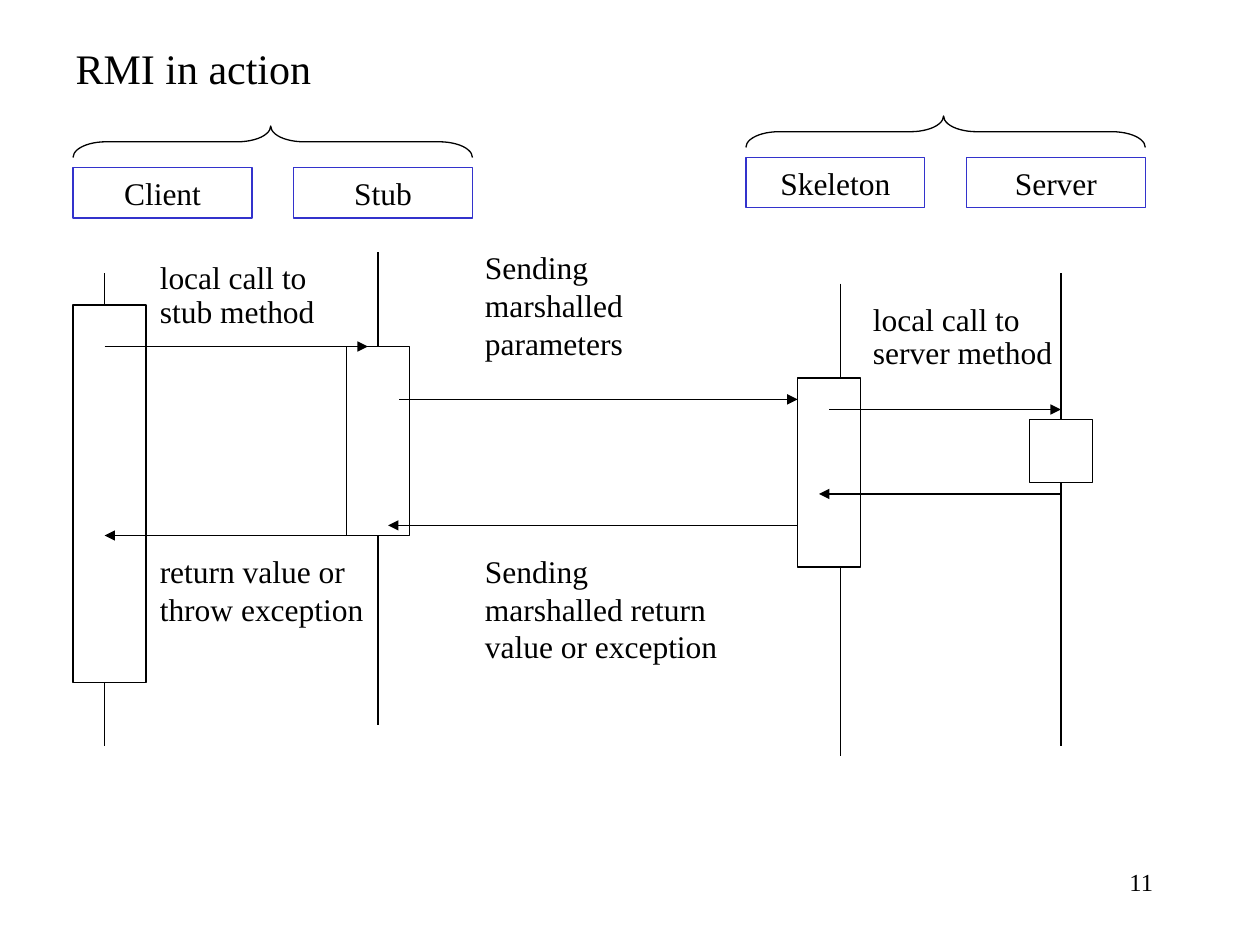
"""Build the "RMI in action" sequence diagram slide."""
from pptx import Presentation, util as u
from pptx.dml.color import RGBColor
from pptx.enum import shapes, text
from pptx.oxml.ns import qn
from lxml import etree

THEME = dict(font="Times New Roman", ink="000000", paper="FFFFFF", accent="3333CC",
             title=24, body=18, number=14, line=0.75)
LEFT, CENTER, RIGHT = text.PP_ALIGN.LEFT, text.PP_ALIGN.CENTER, text.PP_ALIGN.RIGHT

TITLE, NUMBER = "RMI in action", "11"
HOSTS = [(0.58, 1.33, ("Client", "Stub")), (5.92, 1.25, ("Skeleton", "Server"))]
BOX_W, BOX_H, BOX_STEP = 1.42, 0.4, 1.75
BRACE_RISE, BRACE_DEPTH = 0.33, 0.25
LIFELINES = [(0.83, 2.17), (3, 2), (6.67, 2.25), (8.42, 2.17)]
LIFE_LENGTH = 3.75
ACTIVATIONS = [(0.58, 2.42, 0.58, 3), (2.75, 2.75, 0.5, 1.5),
               (6.33, 3, 0.5, 1.5), (8.17, 3.33, 0.5, 0.5)]
MESSAGES = [(0.83, 2.92, 2.75), (3.17, 6.33, 3.17), (6.58, 8.42, 3.25),
            (8.42, 6.5, 3.92), (6.33, 3.08, 4.17), (2.75, 0.83, 4.25)]
LABELS = [
    (1.17, 2, 1.5, 0.67, ["local call to", "stub method"]),
    (6.83, 2.33, 1.83, 0.67, ["local call to", "server method"]),
    (3.75, 1.92, 2.08, 1, ["Sending marshalled parameters"]),
    (1.17, 4.33, 2, 0.7, ["return value or throw exception"]),
    (3.75, 4.33, 2.08, 1, ["Sending marshalled return value or exception"]),
]


def inches(*values):
    return [u.Inches(v) for v in values]


def color(name):
    return RGBColor.from_string(THEME[name])


def write(sp, lines, size="body", align=LEFT, anchor=text.MSO_ANCHOR.TOP):
    tf = sp.text_frame
    tf.word_wrap, tf.vertical_anchor = True, anchor
    tf.text = "\n".join(lines)
    for i, p in enumerate(tf.paragraphs):
        p.alignment = align
        p.font.name, p.font.size = THEME["font"], u.Pt(THEME[size])
        p.font.color.rgb = color("ink")
        if i:
            p.line_spacing = 0.9


def add_label(s, box, lines, **style):
    write(s.shapes.add_textbox(*inches(*box)), lines, **style)


def outline(sp, name="ink"):
    sp.line.color.rgb, sp.line.width = color(name), u.Pt(THEME["line"])


def add_box(s, box, line="ink"):
    sp = s.shapes.add_shape(shapes.MSO_SHAPE.RECTANGLE, *inches(*box))
    sp.shadow.inherit = False
    sp.fill.solid()
    sp.fill.fore_color.rgb = color("paper")
    outline(sp, line)
    return sp


def add_brace(s, x, y, width):
    left, top = x + (width - BRACE_DEPTH) / 2, y + (BRACE_DEPTH - width) / 2
    sp = s.shapes.add_shape(shapes.MSO_SHAPE.RIGHT_BRACE,
                            *inches(left, top, BRACE_DEPTH, width))
    sp.rotation = 270
    sp.adjustments[0], sp.adjustments[1] = 1.05, 0.495
    sp.shadow.inherit = False
    sp.fill.background()
    outline(sp)


def add_line(s, x1, y1, x2, y2, arrow=False):
    sp = s.shapes.add_connector(shapes.MSO_CONNECTOR.STRAIGHT, *inches(x1, y1, x2, y2))
    outline(sp)
    if arrow:
        etree.SubElement(sp.line._get_or_add_ln(), qn("a:tailEnd"), type="triangle")
    etree.SubElement(sp._element.spPr, qn("a:effectLst"))


def main():
    prs = Presentation()
    prs.slide_width, prs.slide_height = inches(10, 7.5)
    s = prs.slides.add_slide(prs.slide_layouts[5])
    title = s.shapes.title
    title.left, title.top, title.width, title.height = inches(0.5, 0, 8.5, 1.08)
    write(title, [TITLE], "title", anchor=text.MSO_ANCHOR.MIDDLE)

    for x, y, names in HOSTS:
        for i, name in enumerate(names):
            sp = add_box(s, (x + i * BOX_STEP, y, BOX_W, BOX_H), "accent")
            write(sp, [name], align=CENTER)
        add_brace(s, x, y - BRACE_RISE, BOX_STEP + BOX_W)
    for x, y in LIFELINES:
        add_line(s, x, y, x, y + LIFE_LENGTH)
    for box in ACTIVATIONS:
        add_box(s, box)
    for start, end, y in MESSAGES:
        add_line(s, start, y, end, y, arrow=True)
    for *box, lines in LABELS:
        add_label(s, box, lines)
    add_label(s, (7.17, 6.83, 2.08, 0.5), [NUMBER], size="number", align=RIGHT)
    prs.save("out.pptx")


if __name__ == "__main__":
    main()
